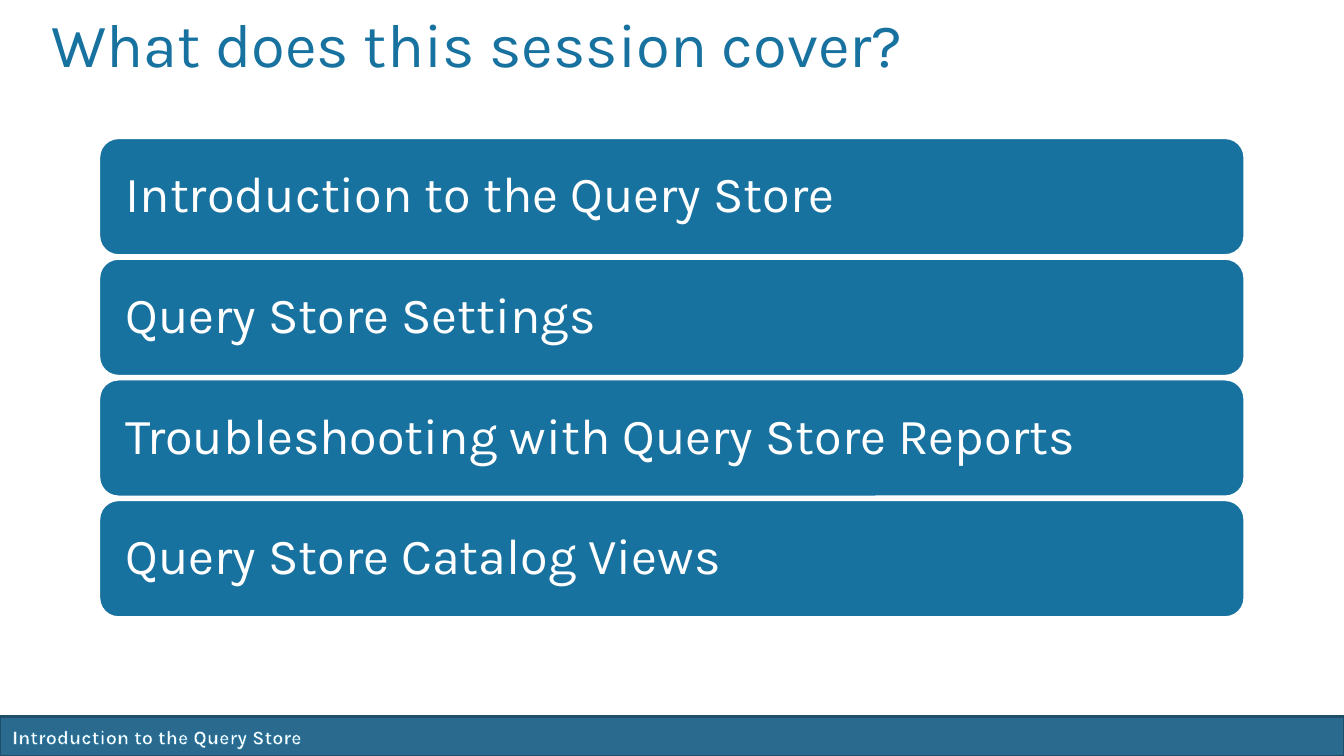
from dataclasses import dataclass

from lxml import etree
from pptx import Presentation
from pptx.dml.color import RGBColor
from pptx.enum import shapes, text
from pptx.oxml import ns
from pptx.util import Pt

FONT = "Karla"
BLUE, WHITE = "1872A0", "FFFFFF"
SLIDE_WIDTH, SLIDE_HEIGHT = 960, 540
TOPIC_LEFT, TOPIC_TOP, TOPIC_WIDTH, TOPIC_HEIGHT = 70.6, 98.4, 818.6, 84.2
TOPIC_PITCH = 86.2


@dataclass
class Bar:
    preset: shapes.MSO_SHAPE
    left: float
    top: float
    width: float
    height: float
    fill: str
    line: str


def rgb(hex_color: str) -> RGBColor:
    return RGBColor.from_string(hex_color)


def style_text(paragraph, size: float, color: str, bold: bool = False) -> None:
    paragraph.alignment = text.PP_ALIGN.LEFT
    for run in paragraph.runs:
        run.font.name = FONT
        run.font.size = Pt(size)
        run.font.bold = bold
        run.font.color.rgb = rgb(color)


def outline_text(run, color: str, width: float) -> None:
    """Draw a thin coloured contour around the letters of a run."""
    properties = run.font._element
    line = etree.Element(ns.qn("a:ln"), w=str(int(Pt(width))))
    fill = etree.SubElement(line, ns.qn("a:solidFill"))
    etree.SubElement(fill, ns.qn("a:srgbClr"), val=color)
    properties.insert(0, line)


def draw_bar(slide, bar: Bar):
    shape = slide.shapes.add_shape(
        bar.preset, Pt(bar.left), Pt(bar.top), Pt(bar.width), Pt(bar.height))
    shape.shadow.inherit = False
    shape.fill.solid()
    shape.fill.fore_color.rgb = rgb(bar.fill)
    shape.line.color.rgb = rgb(bar.line)
    shape.line.width = Pt(2)
    return shape


def draw_title(slide, wording: str) -> None:
    title = slide.shapes.title
    title.left, title.top, title.width, title.height = Pt(29.5), Pt(18.7), Pt(864), Pt(90)
    frame = title.text_frame
    frame.text = wording
    frame.word_wrap = True
    frame.auto_size = text.MSO_AUTO_SIZE.NONE
    frame.vertical_anchor = text.MSO_ANCHOR.TOP
    paragraph = frame.paragraphs[0]
    paragraph.line_spacing = Pt(35)
    style_text(paragraph, 44, BLUE)


def draw_topic(slide, index: int, wording: str) -> None:
    topic = draw_bar(slide, Bar(
        shapes.MSO_SHAPE.ROUNDED_RECTANGLE, TOPIC_LEFT, TOPIC_TOP + index * TOPIC_PITCH,
        TOPIC_WIDTH, TOPIC_HEIGHT, BLUE, WHITE))
    frame = topic.text_frame
    frame.text = wording
    frame.word_wrap = True
    frame.vertical_anchor = text.MSO_ANCHOR.MIDDLE
    frame.margin_left = frame.margin_right = Pt(15)
    paragraph = frame.paragraphs[0]
    paragraph.line_spacing = 0.9
    style_text(paragraph, 36, WHITE)


def draw_footer(slide, wording: str) -> None:
    draw_bar(slide, Bar(
        shapes.MSO_SHAPE.RECTANGLE, 0, 511.7, SLIDE_WIDTH, 28.6, "296A8E", "1E4E69"))
    session_name = slide.shapes.add_textbox(Pt(1.6), Pt(514.2), Pt(436), Pt(24.2))
    frame = session_name.text_frame
    frame.text = wording
    frame.word_wrap = True
    frame.auto_size = text.MSO_AUTO_SIZE.SHAPE_TO_FIT_TEXT
    paragraph = frame.paragraphs[0]
    style_text(paragraph, 14, WHITE, bold=True)
    outline_text(paragraph.runs[0], BLUE, 0.8)


def main() -> None:
    deck = Presentation()
    deck.slide_width, deck.slide_height = Pt(SLIDE_WIDTH), Pt(SLIDE_HEIGHT)
    slide = deck.slides.add_slide(deck.slide_layouts[5])
    topics = [
        "Introduction to the Query Store",
        "Query Store Settings",
        "Troubleshooting with Query Store Reports",
        "Query Store Catalog Views",
    ]
    draw_footer(slide, topics[0])
    draw_title(slide, "What does this session cover?")
    for index, topic in enumerate(topics):
        draw_topic(slide, index, topic)
    deck.save("out.pptx")


if __name__ == "__main__":
    main()
